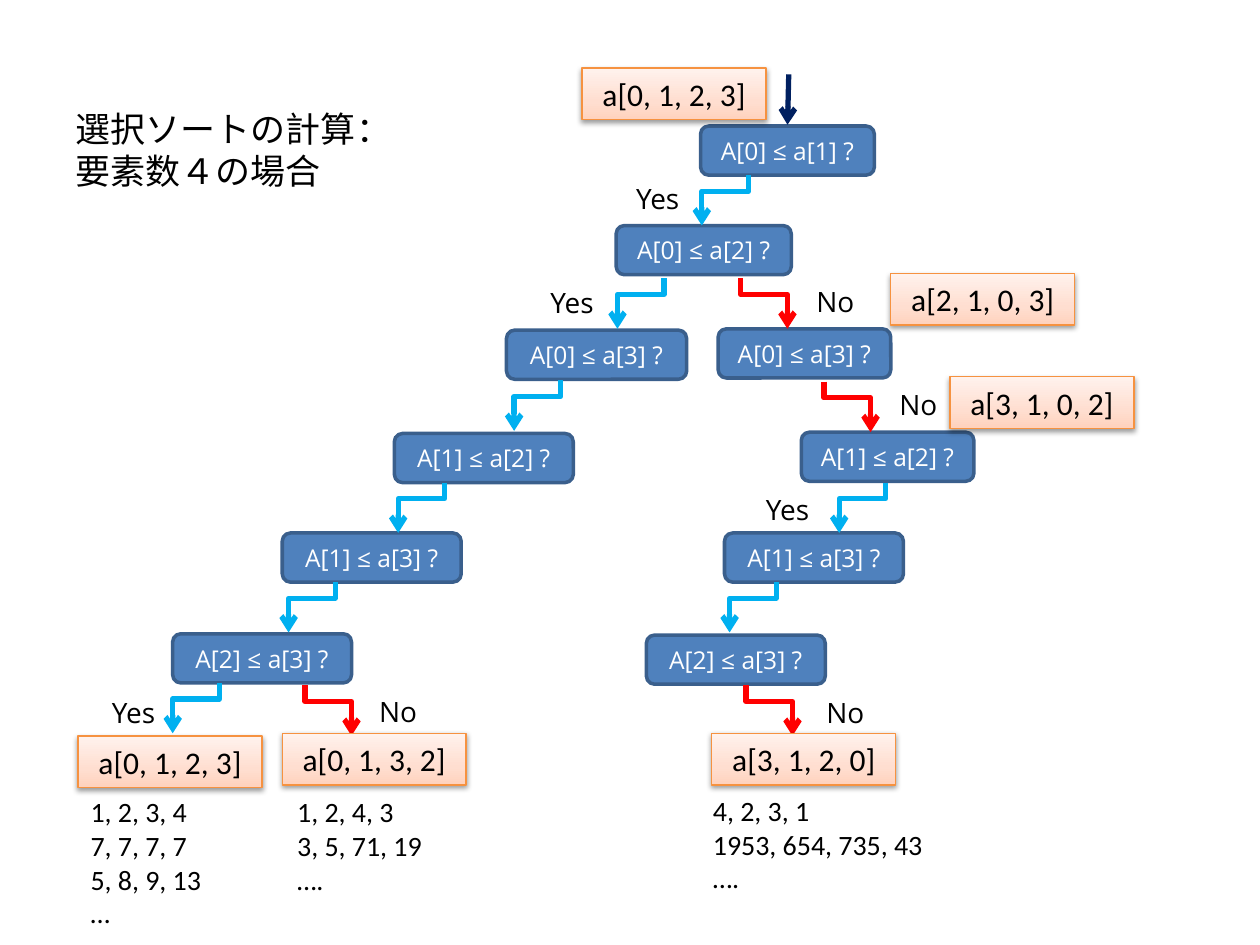
from lxml.etree import SubElement
from pptx import Presentation
from pptx.dml.color import RGBColor
from pptx.enum.shapes import MSO_CONNECTOR, MSO_SHAPE
from pptx.enum.text import MSO_ANCHOR, PP_ALIGN
from pptx.oxml import parse_xml
from pptx.oxml.ns import nsdecls, qn
from pptx.util import Inches, Pt

SANS, BODY, KANJI = "Open Sans", "Calibri", "Noto Sans CJK JP"
BLUE, RED, NAVY = "00B0F0", "FF0000", "002060"
BLACK, WHITE = "000000", "FFFFFF"
RUN, RISE = 0.37, 0.4  # width and height of a branch arrow

PEACH = f"""<a:gradFill {nsdecls('a')} rotWithShape="1"><a:gsLst>
<a:gs pos="0"><a:srgbClr val="FFD2BD"/></a:gs>
<a:gs pos="35000"><a:srgbClr val="FFDED0"/></a:gs>
<a:gs pos="100000"><a:srgbClr val="FFF2ED"/></a:gs>
</a:gsLst><a:lin ang="16200000" scaled="0"/></a:gradFill>"""
SHADE = f"""<a:outerShdw {nsdecls('a')} blurRad="40000" dist="20000" dir="5400000"
rotWithShape="0"><a:srgbClr val="000000"><a:alpha val="38000"/></a:srgbClr></a:outerShdw>"""


def color(code):
    return RGBColor.from_string(code)


class Chart:
    """Draws the parts of a decision tree on one slide."""

    def __init__(self, slide):
        self.slide = slide
        self.shapes = slide.shapes

    def add_lines(self, frame, lines, font, size, code=BLACK, align=PP_ALIGN.LEFT):
        frame.word_wrap = True
        for i, line in enumerate(lines):
            para = frame.add_paragraph() if i else frame.paragraphs[0]
            para.alignment = align
            self.add_run(para, line, font, size, code)

    def add_run(self, para, text, font, size, code):
        run = para.add_run()
        run.text = text
        run.font.name = font
        run.font.size = Pt(size)
        run.font.color.rgb = color(code)
        return run

    def title(self, lines, x, y, w, h):
        head = self.shapes.title
        head.left, head.top, head.width, head.height = map(Inches, (x, y, w, h))
        frame = head.text_frame
        frame.vertical_anchor = MSO_ANCHOR.BOTTOM
        para = frame.paragraphs[0]
        para.alignment = PP_ALIGN.LEFT
        for i, line in enumerate(lines):
            if i:
                para.add_line_break()
            run = self.add_run(para, line, KANJI, 20, BLACK)
            SubElement(run.font._element, qn("a:ea"), typeface=KANJI)

    def block(self, kind, x, y, w, h, edge, width):
        shape = self.shapes.add_shape(kind, *map(Inches, (x, y, w, h)))
        shape.shadow.inherit = False
        shape.line.color.rgb = color(edge)
        shape.line.width = Pt(width)
        shape.text_frame.vertical_anchor = MSO_ANCHOR.MIDDLE
        return shape

    def test(self, i, j, x, y, w):
        """Add a rounded box that compares two elements."""
        shape = self.block(MSO_SHAPE.ROUNDED_RECTANGLE, x, y, w, 0.39, "3A5F8C", 2)
        shape.fill.solid()
        shape.fill.fore_color.rgb = color("4F81BD")
        self.add_lines(shape.text_frame, [f"A[{i}] ≤ a[{j}] ?"], SANS, 14, WHITE,
                       PP_ALIGN.CENTER)

    def state(self, order, x, y):
        """Add a peach box that shows the order of the array."""
        shape = self.block(MSO_SHAPE.RECTANGLE, x, y, 1.46, 0.41, "F69240", 0.75)
        props = shape._element.spPr
        props.insert(2, parse_xml(PEACH))
        props.find(qn("a:effectLst")).append(parse_xml(SHADE))
        self.add_lines(shape.text_frame, [f"a[{order}]"], BODY, 18, BLACK,
                       PP_ALIGN.CENTER)

    def arrow(self, kind, x1, y1, x2, y2, code):
        link = self.shapes.add_connector(kind, *map(Inches, (x1, y1, x2, y2)))
        link.line.color.rgb = color(code)
        link.line.width = Pt(3)
        props = link._element.spPr
        SubElement(props.find(qn("a:ln")), qn("a:tailEnd"), type="arrow")
        SubElement(props, qn("a:effectLst"))
        return props

    def branch(self, x, y, yes):
        """Add a bent arrow from (x, y), down to the left for yes, right for no."""
        mid, half = x + (-RUN if yes else RUN) / 2, RISE / 2
        start, end = (mid - half, mid + half) if yes else (mid + half, mid - half)
        top = y + half - RUN / 2
        props = self.arrow(MSO_CONNECTOR.ELBOW, start, top, end, top + RUN,
                           BLUE if yes else RED)
        props.find(qn("a:xfrm")).set("rot", str((90 if yes else 270) * 60000))
        guides = props.find(qn("a:prstGeom")).find(qn("a:avLst"))
        SubElement(guides, qn("a:gd"), name="adj1", fmla="val 32000")

    def text(self, lines, x, y, w, h, font=BODY, align=PP_ALIGN.LEFT):
        box = self.shapes.add_textbox(*map(Inches, (x, y, w, h)))
        self.add_lines(box.text_frame, lines, font, 16, align=align)

    def label(self, yes, x, y):
        self.text(["Yes" if yes else "No"], x, y, 0.71, 0.37, SANS,
                  PP_ALIGN.RIGHT if yes else PP_ALIGN.LEFT)


def main():
    deck = Presentation()
    deck.slide_width, deck.slide_height = Inches(10), Inches(7.5)
    tree = Chart(deck.slides.add_slide(deck.slide_layouts[5]))
    tree.title(["選択ソートの計算：", "要素数４の場合"], 0.5, 0.3, 3.29, 1.27)

    for item in [
        (0, 1, 5.56, 1, 1.38), (0, 2, 4.89, 1.79, 1.39),
        (0, 3, 4.02, 2.62, 1.43), (1, 2, 3.13, 3.44, 1.42),
        (1, 3, 2.24, 4.23, 1.42), (2, 3, 1.37, 5.03, 1.42),
        (0, 3, 5.7, 2.61, 1.37), (1, 2, 6.36, 3.43, 1.37),
        (1, 3, 5.75, 4.23, 1.42), (2, 3, 5.13, 5.04, 1.42),
    ]:
        tree.test(*item)

    yes = [(5.94, 1.39), (5.27, 2.21), (4.45, 3.02), (3.53, 3.83), (2.66, 4.62),
           (1.74, 5.42), (7.03, 3.83), (6.16, 4.62)]
    no = [(5.88, 2.21), (6.54, 3.03), (2.42, 5.44), (5.92, 5.44)]
    for spots, flag in ((yes, True), (no, False)):
        for x, y in spots:
            tree.branch(x, y, flag)
    tree.arrow(MSO_CONNECTOR.STRAIGHT, 6.26, 0.59, 6.25, 0.99, NAVY)

    for item in [
        ("0, 1, 2, 3", 4.62, 0.54), ("2, 1, 0, 3", 7.07, 2.17),
        ("3, 1, 0, 2", 7.54, 2.99), ("0, 1, 2, 3", 0.62, 5.84),
        ("0, 1, 3, 2", 2.24, 5.82), ("3, 1, 2, 0", 5.65, 5.82),
    ]:
        tree.state(*item)

    yes = [(4.78, 1.39), (4.1, 2.22), (5.81, 3.86), (0.62, 5.47)]
    no = [(6.38, 2.21), (7.04, 3.03), (6.46, 5.47), (2.91, 5.46)]
    for spots, flag in ((yes, True), (no, False)):
        for x, y in spots:
            tree.label(flag, x, y)

    tree.text(["1, 2, 3, 4", "7, 7, 7, 7", "5, 8, 9, 13", "…"], 0.62, 6.26, 1.45, 1.18)
    tree.text(["1, 2, 4, 3", "3, 5, 71, 19", "…."], 2.26, 6.26, 1.45, 0.91)
    tree.text(["4, 2, 3, 1", "1953, 654, 735, 43", "…."], 5.56, 6.25, 1.91, 0.91)
    deck.save("out.pptx")


if __name__ == "__main__":
    main()
